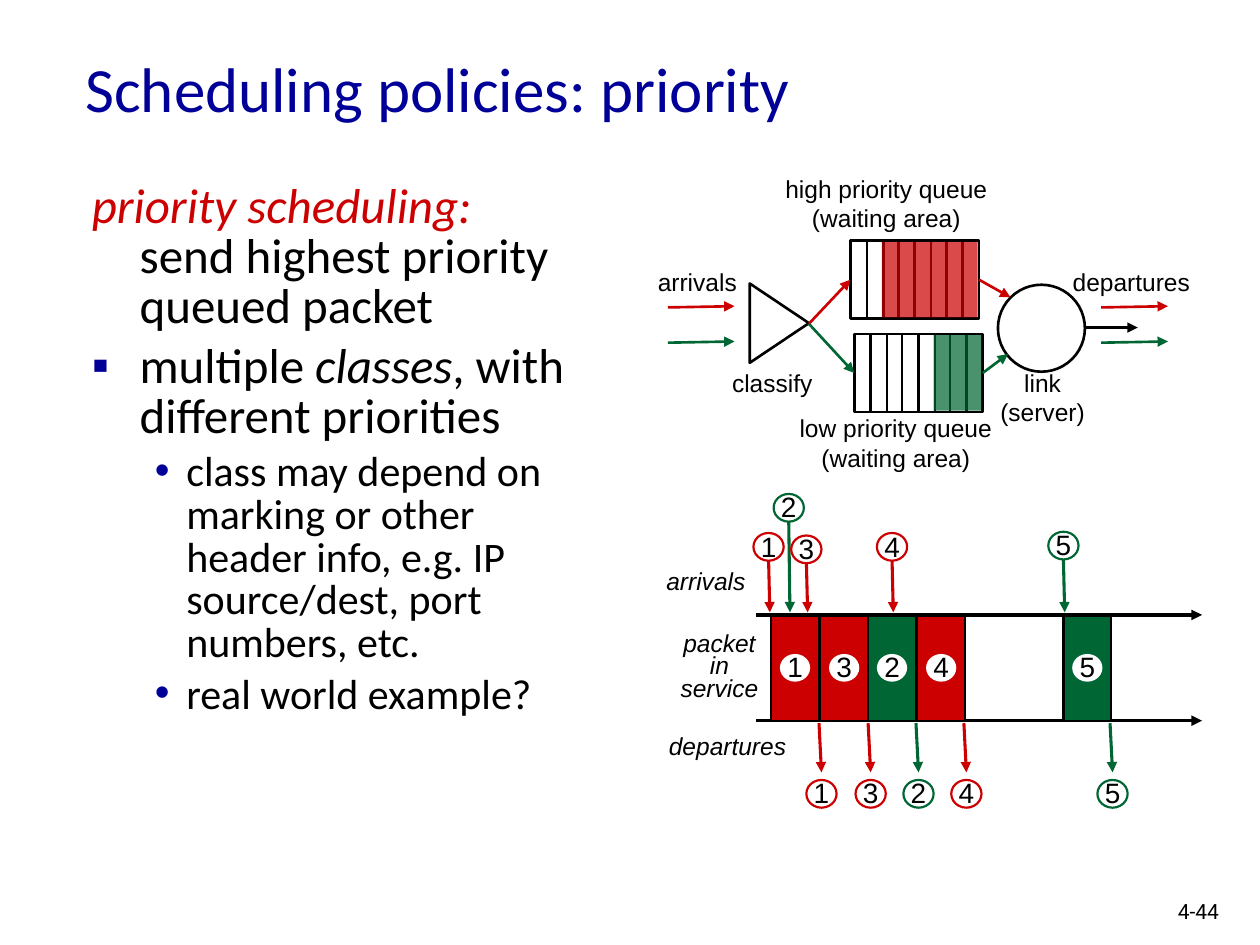
from lxml import etree
from pptx import Presentation, util as u
from pptx.dml.color import RGBColor
from pptx.enum import shapes, text
from pptx.oxml import ns

PX = u.Inches(1) // 100
BLACK = RGBColor(0x00, 0x00, 0x00)
WHITE = RGBColor(0xFF, 0xFF, 0xFF)
NAVY = RGBColor(0x00, 0x00, 0x99)
RED = RGBColor(0xCC, 0x00, 0x00)
GREEN = RGBColor(0x00, 0x66, 0x33)
RECT = shapes.MSO_SHAPE.RECTANGLE
OVAL = shapes.MSO_SHAPE.OVAL

deck = Presentation()
deck.slide_width, deck.slide_height = 1000 * PX, 750 * PX
page = deck.slides.add_slide(deck.slide_layouts[6])


def draw_shape(kind, at, fill=None, line=None, width=1.5, alpha=None):
    shape = page.shapes.add_shape(kind, *[n * PX for n in at])
    shape.shadow.inherit = False
    if fill is None:
        shape.fill.background()
    else:
        shape.fill.solid()
        shape.fill.fore_color.rgb = fill
    if line is None:
        shape.line.fill.background()
    else:
        shape.line.color.rgb = line
        shape.line.width = u.Pt(width)
    if alpha:
        colour = shape.fill._xPr.find(".//" + ns.qn("a:srgbClr"))
        etree.SubElement(colour, ns.qn("a:alpha"), val=str(alpha * 1000))
    return shape


def draw_line(start, end, colour, width=1.5, arrow=True):
    line = page.shapes.add_connector(
        shapes.MSO_CONNECTOR.STRAIGHT, *[n * PX for n in (*start, *end)])
    line.line.color.rgb = colour
    line.line.width = u.Pt(width)
    if arrow:
        etree.SubElement(line.line._get_or_add_ln(), ns.qn("a:tailEnd"), type="triangle")
    etree.SubElement(line._element.spPr, ns.qn("a:effectLst"))
    return line


# Body text: level, bullet, size, spans of (words, italic, colour)
body = [
    (0, None, 28, [("priority scheduling: ", True, RED),
                   ("send highest priority queued packet", False, BLACK)]),
    (0, "▪", 28, [("multiple ", False, BLACK), ("classes", True, BLACK),
                  (", with different priorities", False, BLACK)]),
    (1, "•", 24, [("class may depend on marking or other header info, e.g. IP "
                   "source/dest, port numbers, etc.", False, BLACK)]),
    (1, "•", 24, [("real world example?", False, BLACK)]),
]
box = page.shapes.add_textbox(63 * PX, 141 * PX, 405 * PX, 558 * PX)
frame = box.text_frame
frame.word_wrap = True
for index, (level, bullet, size, spans) in enumerate(body):
    para = frame.add_paragraph() if index else frame.paragraphs[0]
    margin, hang = ((38, 38), (75, 25))[level]
    props = para._p.get_or_add_pPr()
    props.set("marL", str(margin * PX))
    props.set("indent", str(-hang * PX))
    if bullet:
        tint = etree.SubElement(props, ns.qn("a:buClr"))
        etree.SubElement(tint, ns.qn("a:srgbClr"), val=str(NAVY))
        etree.SubElement(props, ns.qn("a:buFont"), typeface="Arial")
        etree.SubElement(props, ns.qn("a:buChar"), char=bullet)
    para.level = level
    para.line_spacing = 0.85
    para.space_before = u.Pt(size * 0.2 if index else 0)
    for words, italic, colour in spans:
        span = para.add_run()
        span.text = words
        span.font.color.rgb = colour
        for name, value in {"name": "Calibri", "size": u.Pt(size), "italic": italic}.items():
            setattr(span.font, name, value)

# Priority queues: eight slots each, the last ones filled
queues = []
for left, top, filled, colour in ((678, 265, 3, GREEN), (675, 191, 6, RED)):
    queues.append(draw_shape(RECT, (left, top, 102, 62), line=BLACK))
    for slot in range(1, 8):
        x = left + round(slot * 102 / 8)
        draw_line((x, top + 1), (x, top + 62), BLACK, arrow=False)
    waiting = round(filled * 102 / 8)
    draw_shape(RECT, (left + 101 - waiting, top + 1, waiting, 60), fill=colour, alpha=71)
low_queue, high_queue = queues

# Classifier, link and flow
classifier = draw_shape(shapes.MSO_SHAPE.ISOSCELES_TRIANGLE, (587, 233, 63, 47), line=BLACK)
classifier.rotation = 90
draw_shape(OVAL, (792, 226, 69, 69), line=BLACK)
for queue, middle, link, colour in ((high_queue, (675, 222), (802, 236), RED),
                                    (low_queue, (678, 296), (800, 281), GREEN)):
    draw_line((642, 257), middle, colour).end_connect(queue, 1)
    draw_line((middle[0] + 102, middle[1]), link, colour).begin_connect(queue, 3)
for x in (530, 874):
    draw_line((x, 244), (x + 53, 243), RED)
    draw_line((x, 272), (x + 53, 271), GREEN)
draw_line((860, 260), (903, 260), BLACK)

# Timeline
for y in (488, 572):
    draw_line((600, y), (954, y), BLACK, 2)
packet_colour = {1: RED, 2: GREEN, 3: RED, 4: RED, 5: GREEN}
service = {1: 612, 3: 651, 2: 689, 4: 728, 5: 844}
arrivals = {5: (832, 422), 2: (614, 392), 1: (598, 423), 3: (628, 425), 4: (696, 423)}
departures = {1: 640, 3: 679, 2: 717, 4: 755, 5: 871}
badges = []
for number, x in service.items():
    draw_shape(RECT, (x, 489, 38, 83), packet_colour[number], BLACK, 1.25)
    badges.append((number, x + 7, 519, None))
for number, (x, y) in arrivals.items():
    draw_line((x + 12, y + 22), (x + 13, 486), packet_colour[number], 1.75)
    badges.append((number, x, y, packet_colour[number]))
for number, x in departures.items():
    draw_line((x + 10, 574), (x + 12, 613), packet_colour[number], 1.75)
    badges.append((number, x, 619, packet_colour[number]))

# Labels: words, place, alignment, font, wrapped
LEFT, CENTER = text.PP_ALIGN.LEFT, text.PP_ALIGN.CENTER
plain = {"name": "Arial", "size": u.Pt(14), "italic": False}
slanted = {**plain, "italic": True}
digit = {**plain, "size": u.Pt(16)}
labels = [
    ("high priority queue\n(waiting area)", (610, 133, 187, 57), CENTER, plain, False),
    ("low priority queue\n(waiting area)", (624, 323, 174, 57), CENTER, plain, False),
    ("arrivals", (512, 207, 83, 34), CENTER, plain, False),
    ("classify", (570, 287, 86, 34), CENTER, plain, False),
    ("departures", (841, 207, 114, 34), CENTER, plain, False),
    ("link\n(server)", (781, 287, 93, 57), CENTER, plain, False),
    ("arrivals", (519, 444, 88, 34), LEFT, slanted, False),
    ("departures", (521, 575, 119, 34), LEFT, slanted, False),
    ("packet in service", (524, 499, 94, 65), CENTER, slanted, True),
    ("4-44", (925, 708, 61, 30), LEFT, {"name": "Roboto", "size": u.Pt(12)}, True),
    ("Scheduling policies: priority", (58, 15, 850, 108), LEFT,
     {"name": "Calibri", "size": u.Pt(36)}, True),
]
for number, x, y, outline in badges:
    draw_shape(OVAL, (x, y, 24, 22), WHITE, outline, 1.25)
    labels.append((str(number), (x - 4, y - 8, 33, 37), LEFT, digit, False))

for words, at, align, font, wrapped in labels:
    box = page.shapes.add_textbox(*[n * PX for n in at])
    frame = box.text_frame
    frame.word_wrap = wrapped
    frame.text = words
    is_title = words.startswith("Scheduling")
    if is_title:
        frame.vertical_anchor = text.MSO_ANCHOR.MIDDLE
    for para in frame.paragraphs:
        para.alignment = align
        if words == "packet in service":
            para.line_spacing = u.Pt(12.8)
        span = para.runs[0]
        span.font.color.rgb = NAVY if is_title else BLACK
        for name, value in font.items():
            setattr(span.font, name, value)

deck.save("out.pptx")
